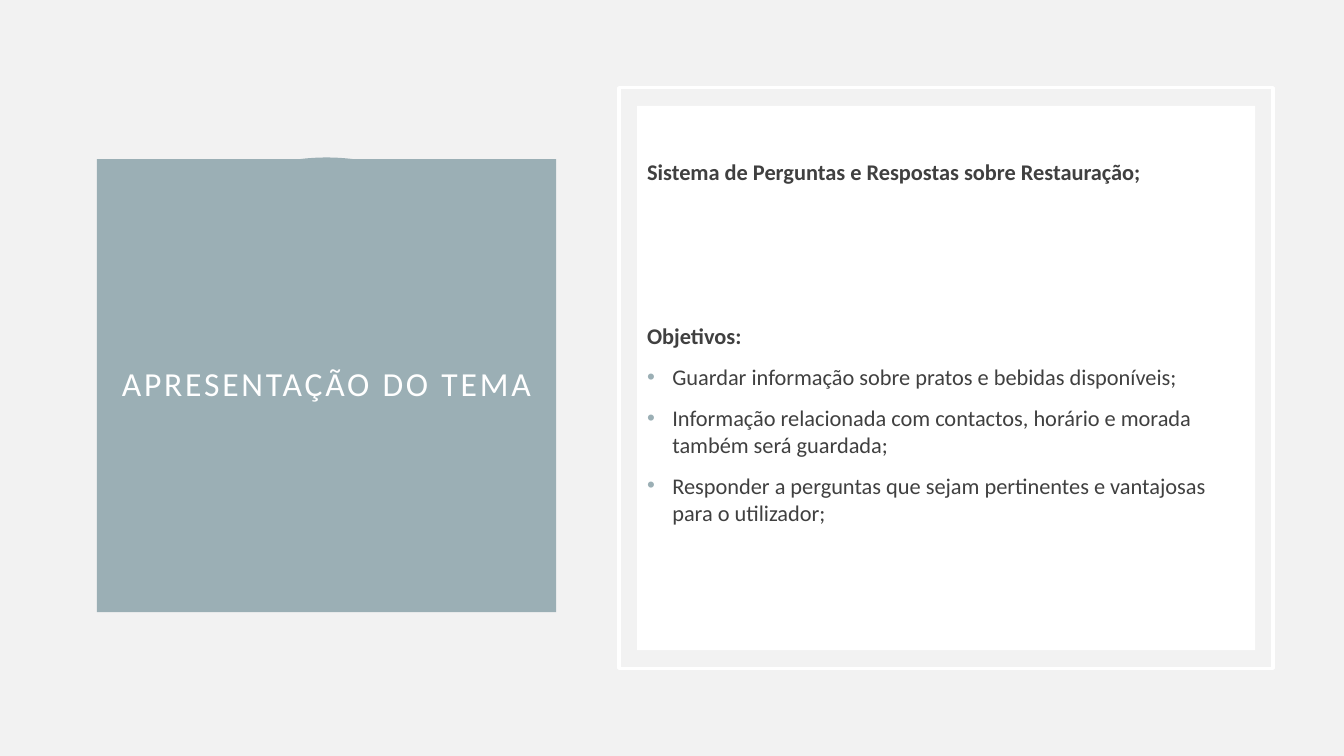
from pptx import Presentation
from pptx.dml.color import RGBColor
from pptx.enum.shapes import MSO_SHAPE as Preset
from pptx.enum.text import MSO_ANCHOR as Anchor, PP_ALIGN as Align
from pptx.oxml import parse_xml
from pptx.oxml.ns import nsdecls
from pptx.util import Pt

TEAL, WHITE, GREY, DARK = "9BAFB5", "FFFFFF", "F2F2F2", "404040"
LINE_WIDTH = 2.5
INDENT = 18

presentation = Presentation()
presentation.slide_width, presentation.slide_height = Pt(960), Pt(540)
slide = presentation.slides.add_slide(presentation.slide_layouts[6])
slide.background.fill.solid()
slide.background.fill.fore_color.rgb = RGBColor.from_string(GREY)


def add_panel(preset, box, fill=None, line=None):
    """Add a preset shape with optional fill and line colours."""
    shape = slide.shapes.add_shape(preset, *map(Pt, box))
    shape.shadow.inherit = False
    for colour, paint in ((fill, shape.fill), (line, shape.line.fill)):
        if colour:
            paint.solid()
            paint.fore_color.rgb = RGBColor.from_string(colour)
        else:
            paint.background()
    if line:
        shape.line.width = Pt(LINE_WIDTH)
    return shape


def write(paragraph, text, size=16, colour=DARK, bold=False, align=Align.LEFT,
          before=0, spacing=1.0, tracking=0, bullet=False):
    """Write formatted text into a paragraph."""
    paragraph.alignment = align
    paragraph.space_before = Pt(before)
    paragraph.line_spacing = spacing
    run = paragraph.add_run()
    run.text = text
    run.font.name, run.font.size, run.font.bold = "Calibri", Pt(size), bold
    run.font.color.rgb = RGBColor.from_string(colour)
    if tracking:
        run.font._element.set("spc", str(tracking * 100))
    if bullet:
        properties = paragraph._p.get_or_add_pPr()
        properties.set("marL", str(Pt(INDENT)))
        properties.set("indent", str(-Pt(INDENT)))
        for xml in (f'<a:buClr {nsdecls("a")}><a:srgbClr val="{TEAL}"/></a:buClr>',
                    f'<a:buFont {nsdecls("a")} typeface="Arial"/>',
                    f'<a:buChar {nsdecls("a")} char="•"/>'):
            properties.append(parse_xml(xml))


# Title block, with the circle showing just above its top edge
add_panel(Preset.OVAL, (77, 113.75, 312.5, 312.5), WHITE, TEAL)
title = add_panel(Preset.RECTANGLE, (69.25, 113.75, 328, 323.5), TEAL)
title_frame = title.text_frame
title_frame.word_wrap = True
title_frame.vertical_anchor = Anchor.MIDDLE
title_frame.margin_left = title_frame.margin_right = Pt(14.4)
write(title_frame.paragraphs[0], "APRESENTAÇÃO DO TEMA", size=24, colour=WHITE,
      align=Align.CENTER, spacing=0.9, tracking=2)

# Framed content panel
add_panel(Preset.RECTANGLE, (442.3, 62.7, 467.2, 414.7), line=WHITE)
content = add_panel(Preset.RECTANGLE, (455.2, 75.6, 441.4, 388.8), WHITE)
content_frame = content.text_frame
content_frame.word_wrap = True
content_frame.vertical_anchor = Anchor.TOP
content_frame.margin_top = Pt(37.5)
write(content_frame.paragraphs[0],
      "Sistema de Perguntas e Respostas sobre Restauração;", bold=True)
write(content_frame.add_paragraph(), "Objetivos:", bold=True, before=98)
for objective in (
        "Guardar informação sobre pratos e bebidas disponíveis;",
        "Informação relacionada com contactos, horário e morada também será guardada;",
        "Responder a perguntas que sejam pertinentes e vantajosas para o utilizador;"):
    write(content_frame.add_paragraph(), objective, before=10, bullet=True)

presentation.save("out.pptx")
